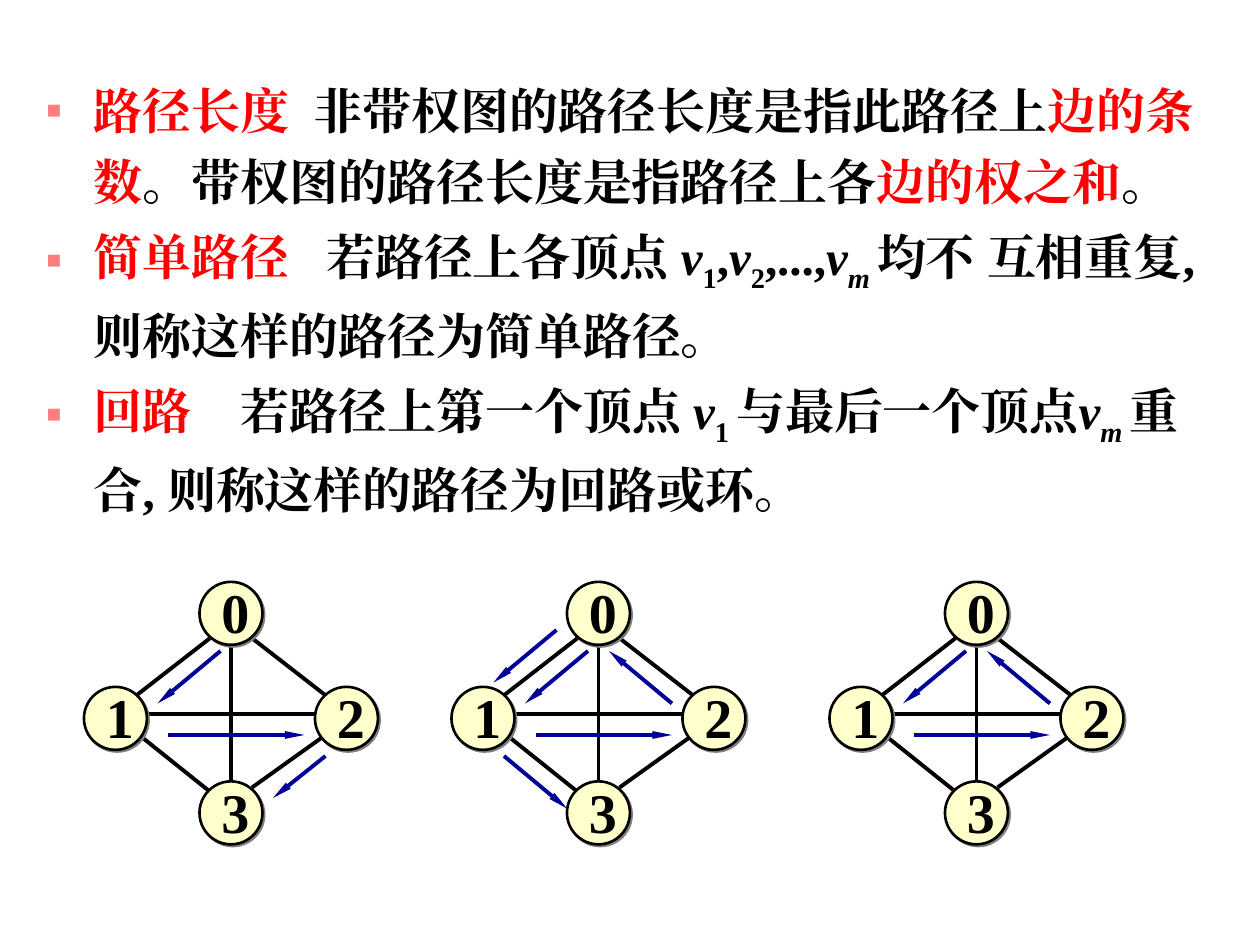
from lxml.etree import SubElement
from pptx import Presentation
from pptx.dml.color import RGBColor
from pptx.enum.shapes import MSO_CONNECTOR as CONNECTOR, MSO_SHAPE as SHAPE
from pptx.enum.text import MSO_AUTO_SIZE as AUTO_SIZE
from pptx.oxml.ns import qn
from pptx.util import Pt

FONT = "Times New Roman"
BLACK, RED, NAVY, CREAM, GRAY, PINK = "000000", "FF0000", "000099", "FFFFCC", "808080", "FF7C80"

DEFINITIONS = [
    [("路径长度", "red"), ("  非带权图的路径长度是指此路径上", ""), ("边的条数", "red"),
     ("。带权图的路径长度是指路径上各", ""), ("边的权之和", "red"), ("。", "")],
    [("简单路径", "red"), ("   若路径上各顶点 ", ""), ("v", "italic"), ("1", "sub"), (",", ""),
     ("v", "italic"), ("2", "sub"), (",...,", ""), ("v", "italic"), ("m ", "italic sub"),
     ("均不 互相重复, 则称这样的路径为简单路径。", "")],
    [("回路", "red"), ("    若路径上第一个顶点 ", ""), ("v", "italic"), ("1 ", "sub"),
     ("与最后一个顶点", ""), ("v", "italic"), ("m ", "italic sub"),
     ("重合, 则称这样的路径为回路或环。", "")],
]

NODE_SIZE = 36
NODES = {"1": (0, 60.5), "2": (132, 60.5), "0": (66, 0.5), "3": (66, 114.5)}
EDGES = [(24, 82, 84, 130), (90, 28, 144, 70), (138, 88, 96, 118),
         (78, 28, 24, 70), (30, 76, 138, 76), (84, 30, 84, 136)]

ZERO_TO_ONE = (78, 40, 42, 70)
ONE_TO_TWO = (48, 88, 126, 88)
TWO_TO_ZERO = (126, 70, 90, 40)
TWO_TO_THREE = (138, 100, 108, 124)
ZERO_TO_ONE_AGAIN = (60, 28, 24, 58)
ONE_TO_THREE = (30, 100, 66, 130)
GRAPH_TOP = 332
GRAPHS = [
    (48, [ZERO_TO_ONE, ONE_TO_TWO, TWO_TO_THREE]),
    (258, [ZERO_TO_ONE, ONE_TO_TWO, ZERO_TO_ONE_AGAIN, TWO_TO_ZERO, ONE_TO_THREE]),
    (474, [ZERO_TO_ONE, ONE_TO_TWO, TWO_TO_ZERO]),
]


def color(value):
    return RGBColor.from_string(value)


def add_run(paragraph, text, size, style=""):
    run = paragraph.add_run()
    run.text = text
    font = run.font
    font.name, font.size, font.bold = FONT, Pt(size), True
    font.italic = "italic" in style
    font.color.rgb = color(RED if "red" in style else BLACK)
    properties = run._r.get_or_add_rPr()
    SubElement(properties, qn("a:ea"), typeface=FONT)
    if "sub" in style:
        properties.set("baseline", "-25000")


def add_bullet(paragraph):
    properties = paragraph._p.get_or_add_pPr()
    properties.set("marL", str(Pt(27)))
    properties.set("indent", str(-Pt(27)))
    bullet_color = SubElement(properties, qn("a:buClr"))
    SubElement(bullet_color, qn("a:srgbClr"), val=PINK)
    SubElement(properties, qn("a:buSzPct"), val="50000")
    SubElement(properties, qn("a:buFont"), typeface=FONT)
    SubElement(properties, qn("a:buChar"), char="■")


def add_definitions(slide, left, top, width, height):
    frame = slide.shapes.add_textbox(Pt(left), Pt(top), Pt(width), Pt(height)).text_frame
    frame.word_wrap = True
    for index, runs in enumerate(DEFINITIONS):
        paragraph = frame.add_paragraph() if index else frame.paragraphs[0]
        add_bullet(paragraph)
        paragraph.line_spacing = 1.2
        paragraph.space_before = Pt(1.8 if index else 0)
        for text, style in runs:
            add_run(paragraph, text, 28, style)


def add_line(slide, left, top, ends, line_color, arrow=False):
    x1, y1, x2, y2 = ends
    line = slide.shapes.add_connector(
        CONNECTOR.STRAIGHT, Pt(left + x1), Pt(top + y1), Pt(left + x2), Pt(top + y2))
    line.line.color.rgb = color(line_color)
    line.line.width = Pt(2.25)
    if arrow:
        SubElement(line.line._get_or_add_ln(), qn("a:tailEnd"), type="triangle", w="sm", len="lg")
    SubElement(line._element.spPr, qn("a:effectLst"))


def add_node(slide, left, top):
    node = slide.shapes.add_shape(SHAPE.OVAL, Pt(left), Pt(top), Pt(NODE_SIZE), Pt(NODE_SIZE))
    node.fill.solid()
    node.fill.fore_color.rgb = color(CREAM)
    node.line.color.rgb = color(BLACK)
    node.line.width = Pt(1.5)
    node.shadow.inherit = False
    effects = node._element.spPr.find(qn("a:effectLst"))
    shadow = SubElement(effects, qn("a:outerShdw"), dist=str(Pt(1.4)), dir="2700000")
    SubElement(shadow, qn("a:srgbClr"), val=GRAY)


def add_label(slide, left, top, text):
    frame = slide.shapes.add_textbox(Pt(left), Pt(top), Pt(30), Pt(46)).text_frame
    frame.word_wrap = False
    frame.auto_size = AUTO_SIZE.SHAPE_TO_FIT_TEXT
    add_run(frame.paragraphs[0], text, 32)


def add_graph(slide, left, top, arrows):
    for edge in EDGES:
        add_line(slide, left, top, edge, BLACK)
    for x, y in NODES.values():
        add_node(slide, left + x, top + y)
    for text, (x, y) in NODES.items():
        add_label(slide, left + x + 5.5, top + y - 6, text)
    for arrow in arrows:
        add_line(slide, left, top, arrow, NAVY, arrow=True)


def main():
    presentation = Presentation()
    presentation.slide_width, presentation.slide_height = Pt(720), Pt(540)
    slide = presentation.slides.add_slide(presentation.slide_layouts[6])
    add_definitions(slide, 19.5, 36, 686, 282)
    for left, arrows in GRAPHS:
        add_graph(slide, left, GRAPH_TOP, arrows)
    presentation.save("out.pptx")


if __name__ == "__main__":
    main()
